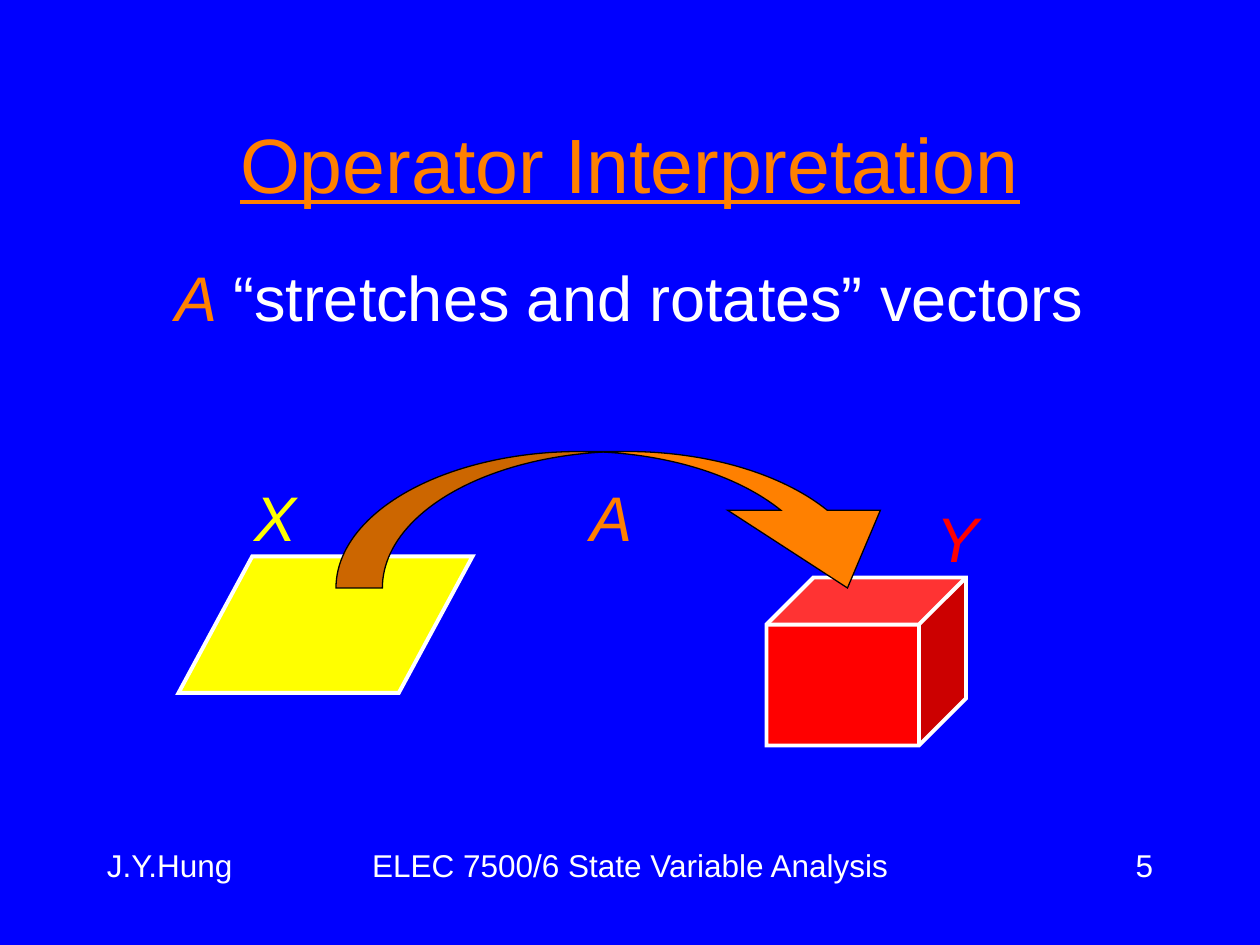
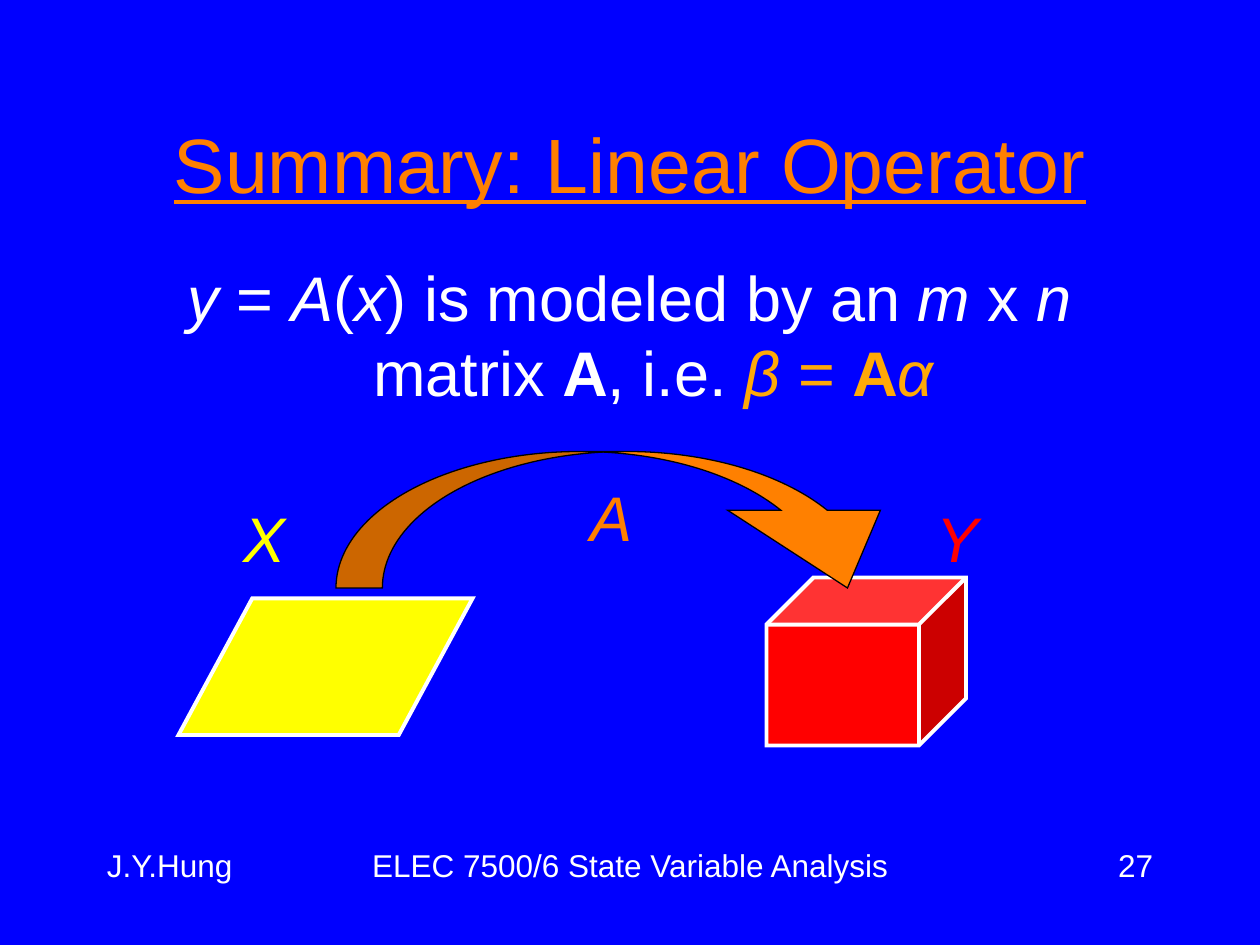
from dataclasses import dataclass

from lxml.etree import SubElement
from pptx import Presentation
from pptx.dml.color import RGBColor as Rgb
from pptx.enum.shapes import MSO_SHAPE as Kind
from pptx.enum.text import MSO_ANCHOR as Anchor, MSO_AUTO_SIZE as Auto, PP_ALIGN as Align
from pptx.oxml.ns import qn
from pptx.util import Emu, Pt

SCALE = 7620  # EMU per px, 120 px to the inch
FONT = "Arial"
HUES = {
    "back": "0000FF", "white": "FFFFFF", "black": "000000", "orange": "FF8000",
    "gold": "FFA907", "yellow": "FFFF00", "red": "FF0000",
}


@dataclass
class Box:
    x: int
    y: int
    w: int
    h: int

    def emu(self) -> list[Emu]:
        return [px(v) for v in (self.x, self.y, self.w, self.h)]


@dataclass
class Part:
    text: str
    hue: str = "white"
    italic: bool = False
    bold: bool = False


@dataclass
class Label:
    text: str
    x: int
    y: int
    hue: str


@dataclass
class Solid:
    kind: Kind
    box: Box
    ratios: list[float]
    fill: str
    line: str = "white"
    width: float = 2.25


@dataclass
class Page:
    title: str
    number: str
    body: list[Part]
    plane: int  # top of the parallelogram
    labels: list[Label]


TITLE = Box(90, 80, 1020, 150)
BODY = Box(90, 240, 1020, 540)
LABELS = [Label("Y", 880, 470, "red"), Label("A", 551, 450, "orange")]

PAGES = [
    Page("Operator Interpretation", "5",
         [Part("A ", "orange", True), Part("“stretches and rotates” vectors")],
         530, [Label("X", 231, 450, "yellow"), *LABELS]),
    Page("Summary: Linear Operator", "27",
         [Part("y", italic=True), Part(" = "), Part("A", italic=True), Part("("),
          Part("x", italic=True), Part(") is modeled by an "),
          Part("m", italic=True), Part(" x "), Part("n", italic=True),
          Part(" matrix "), Part("A", bold=True), Part(", i.e. "),
          Part("β", "gold", True), Part(" = ", "gold"),
          Part("A", "gold", bold=True), Part("α", "gold", True)],
         570, [Label("X", 220, 470, "yellow"), *LABELS]),
]


def px(val: int) -> Emu:
    return Emu(val * SCALE)


def color(hue: str) -> Rgb:
    return Rgb.from_string(HUES[hue])


def style(font, size: int, hue: str) -> None:
    font.name, font.size = FONT, Pt(size)
    font.color.rgb = color(hue)


def write(slide, box: Box, text: str, size: int, hue: str, align=Align.LEFT):
    frame = slide.shapes.add_textbox(*box.emu()).text_frame
    frame.word_wrap = True
    para = frame.paragraphs[0]
    para.text, para.alignment = text, align
    style(para.runs[0].font, size, hue)
    return frame


def head(slide, text: str) -> None:
    shape = slide.shapes.title
    shape.left, shape.top, shape.width, shape.height = TITLE.emu()
    frame = shape.text_frame
    frame.text, frame.vertical_anchor = text, Anchor.MIDDLE
    para = frame.paragraphs[0]
    para.alignment = Align.CENTER
    style(para.runs[0].font, 44, "orange")
    para.runs[0].font.underline = True


def foot(slide, number: str) -> None:
    for x, wide, text, align in (
        (90, 150, "J.Y.Hung", Align.LEFT),
        (280, 640, "ELEC 7500/6 State Variable Analysis", Align.CENTER),
        (1020, 90, number, Align.RIGHT),
    ):
        write(slide, Box(x, 800, wide, 60), text, 18, "white", align)


def state(slide, parts: list[Part]) -> None:
    frame = slide.shapes.add_textbox(*BODY.emu()).text_frame
    frame.word_wrap = True
    para = frame.paragraphs[0]
    para.alignment = Align.CENTER
    # Hanging indent
    props = para._p.get_or_add_pPr()
    props.set("marL", str(px(45)))
    props.set("indent", str(px(-45)))
    for part in parts:
        run = para.add_run()
        run.text = part.text
        style(run.font, 36, part.hue)
        run.font.italic, run.font.bold = part.italic, part.bold


def place(slide, solid: Solid) -> None:
    shape = slide.shapes.add_shape(solid.kind, *solid.box.emu())
    for i, ratio in enumerate(solid.ratios):
        shape.adjustments[i] = ratio
    shape.shadow.inherit = False
    shape.fill.solid()
    shape.fill.fore_color.rgb = color(solid.fill)
    shape.line.color.rgb = color(solid.line)
    shape.line.width = Pt(solid.width)
    # Sharp corners
    SubElement(shape.line._get_or_add_ln(), qn("a:miter")).set("lim", "800000")


def draw(deck, page: Page) -> None:
    slide = deck.slides.add_slide(deck.slide_layouts.get_by_name("Title Only"))
    slide.background.fill.solid()
    slide.background.fill.fore_color.rgb = color("back")
    foot(slide, page.number)
    head(slide, page.title)
    state(slide, page.body)
    # Spaces X and Y, joined by operator A
    for solid in (
        Solid(Kind.PARALLELOGRAM, Box(170, page.plane, 280, 130), [0.54], "yellow"),
        Solid(Kind.CUBE, Box(730, 550, 190, 160), [0.28], "red"),
        Solid(Kind.CURVED_DOWN_ARROW, Box(320, 430, 560, 130), [0.34, 1.12, 0.57],
              "orange", "black", 0.75),
    ):
        place(slide, solid)
    for tag in page.labels:
        frame = write(slide, Box(tag.x, tag.y, 64, 84), tag.text, 36, tag.hue)
        frame.word_wrap, frame.auto_size = False, Auto.SHAPE_TO_FIT_TEXT
        frame.paragraphs[0].runs[0].font.italic = True


def main() -> None:
    deck = Presentation()
    deck.slide_width, deck.slide_height = px(1200), px(900)
    for page in PAGES:
        draw(deck, page)
    deck.save("out.pptx")


if __name__ == "__main__":
    main()
